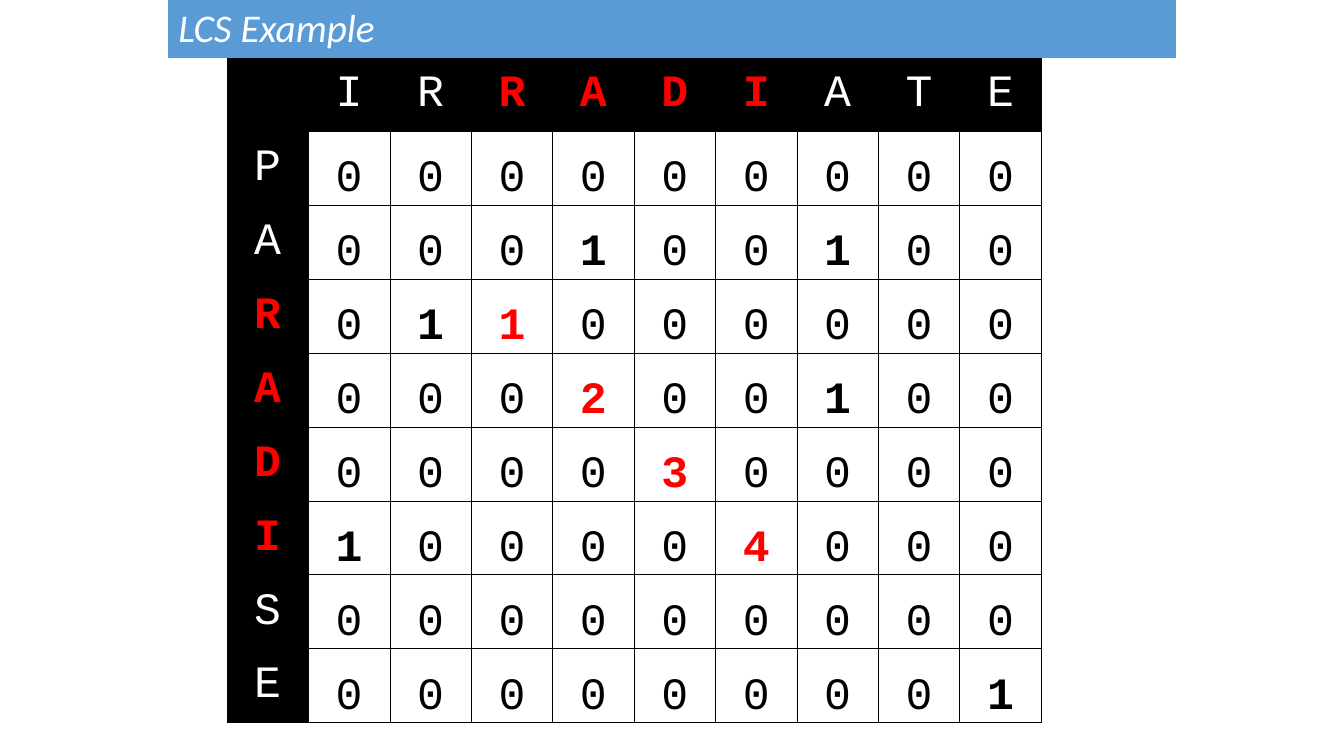
from lxml import etree
from pptx import Presentation
from pptx.dml.color import RGBColor
from pptx.enum import text
from pptx.oxml import ns
from pptx.util import Cm, Pt

TOP, SIDE = "IRRADIATE", "PARADISE"
MATCH = range(3, 7)  # places of RADI in both words
BLACK, WHITE, RED, BLUE = "000000", "FFFFFF", "FF0000", "5B9BD5"
NO_STYLE = "{2D5ABB26-0587-4C30-8999-92F81FD0307C}"


def rgb(code):
    return RGBColor.from_string(code)


def lengths(top, side):
    """Length of the common substring ending at each pair of letters."""
    grid = [[0] * (len(top) + 1) for _ in range(len(side) + 1)]
    for i, a in enumerate(side, 1):
        for j, b in enumerate(top, 1):
            if a == b:
                grid[i][j] = grid[i - 1][j - 1] + 1
    return grid


def new_table(slide, rows, widths, left, top, height):
    """Add a table without a style, with rows of equal height."""
    frame = slide.shapes.add_table(rows, len(widths), Cm(left), Cm(top),
                                   Cm(sum(widths)), Cm(height))
    table = frame.table
    table.first_row = table.horz_banding = False
    frame._element.find(".//" + ns.qn("a:tableStyleId")).text = NO_STYLE
    for col, width in zip(table.columns, widths):
        col.width = Cm(width)
    for row in table.rows:
        row.height = Cm(height / rows)
    return table


def paint(cell, color):
    cell.fill.solid()
    cell.fill.fore_color.rgb = rgb(color)


def write(cell, words, size, face, color, bold=False, italic=False):
    cell.text_frame.text = words
    font = cell.text_frame.paragraphs[0].runs[0].font
    font.size, font.name = Pt(size), face
    font.bold, font.italic = bold, italic
    font.color.rgb = rgb(color)


def border(cell, color, width):
    props = cell._tc.get_or_add_tcPr()
    for n, edge in enumerate("LRTB"):
        line = etree.Element(ns.qn("a:ln" + edge), w=str(Pt(width)))
        fill = etree.SubElement(line, ns.qn("a:solidFill"))
        etree.SubElement(fill, ns.qn("a:srgbClr"), val=color)
        props.insert(n, line)


def matrix(slide, left, top, width, height):
    cols, rows = len(TOP) + 1, len(SIDE) + 1
    table = new_table(slide, rows, [width / cols] * cols, left, top, height)
    grid = lengths(TOP, SIDE)
    for i in range(rows):
        for j in range(cols):
            cell = table.cell(i, j)
            head = i == 0 or j == 0
            if head:
                paint(cell, BLACK)
            border(cell, BLACK, 0.5)
            if i == j == 0:
                continue
            cell.margin_left = cell.margin_right = cell.margin_top = Cm(0.02)
            cell.margin_bottom = 0
            if head:
                hit = max(i, j) in MATCH
                words = TOP[j - 1] if i == 0 else SIDE[i - 1]
                cell.vertical_anchor = text.MSO_ANCHOR.MIDDLE
            else:
                hit = i == j and i in MATCH
                words = str(grid[i][j])
                cell.vertical_anchor = text.MSO_ANCHOR.BOTTOM
            color = RED if hit else WHITE if head else BLACK
            bold = hit or grid[i][j] > 0
            write(cell, words, 32, "Courier New", color, bold)
            cell.text_frame.paragraphs[0].alignment = text.PP_ALIGN.CENTER


def banner(slide, left, top, width, height):
    first = 6.98
    table = new_table(slide, 1, [first, width - first], left, top, height)
    for cell in table.iter_cells():
        paint(cell, BLUE)
    write(table.cell(0, 0), "LCS Example", 28, "Calibri", WHITE, italic=True)


def main():
    deck = Presentation()
    deck.slide_width, deck.slide_height = Cm(33.87), Cm(19.05)
    slide = deck.slides.add_slide(deck.slide_layouts[6])
    matrix(slide, 5.72, 1.45, 20.52, 16.76)
    banner(slide, 4.24, 0, 25.4, 1.45)
    deck.save("out.pptx")


if __name__ == "__main__":
    main()
